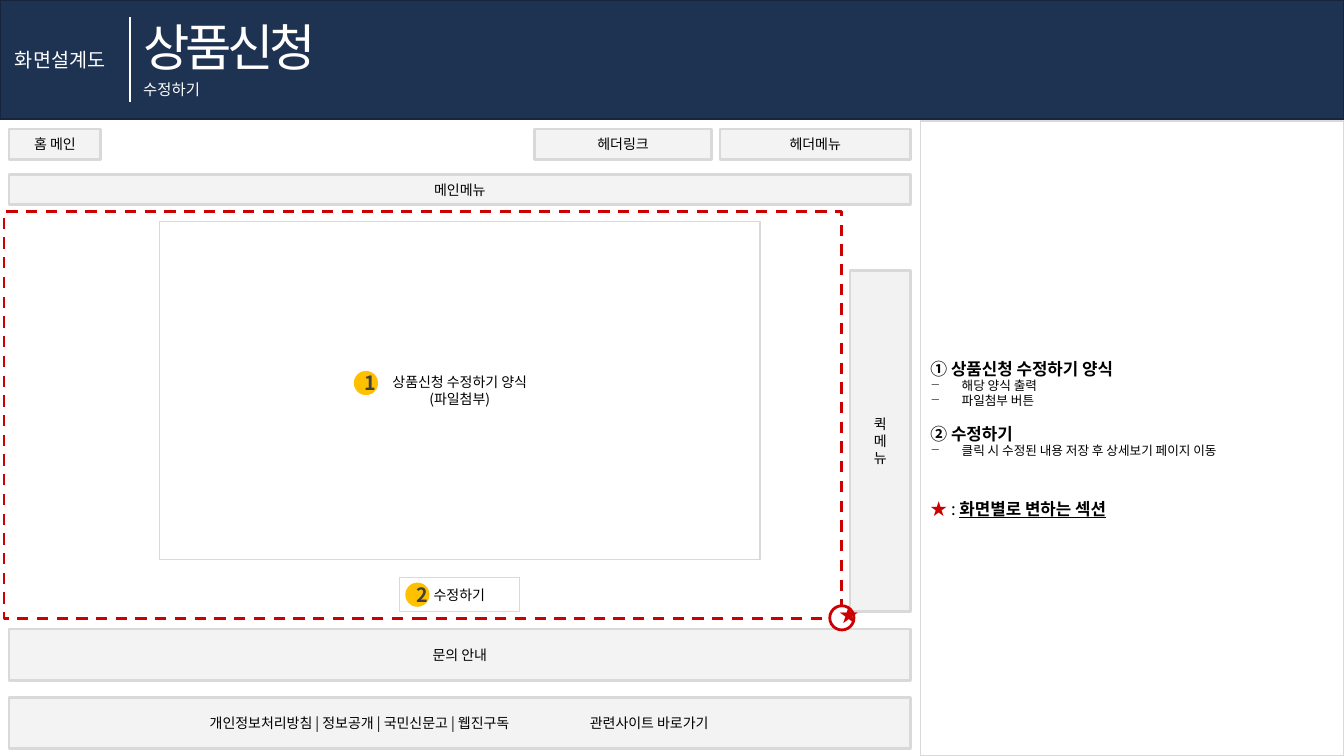
from dataclasses import dataclass

from lxml.etree import SubElement
from pptx import Presentation
from pptx.dml.color import RGBColor
from pptx.enum.dml import MSO_LINE_DASH_STYLE as Dash
from pptx.enum.shapes import MSO_CONNECTOR as Connector, MSO_SHAPE as Preset
from pptx.enum.text import MSO_ANCHOR as Anchor, MSO_AUTO_SIZE as AutoSize, PP_ALIGN as Align
from pptx.oxml.ns import qn
from pptx.util import Inches, Pt

FONT = "Noto Sans CJK KR"
GRAY, RED, WHITE, BLACK, YELLOW = "D9D9D9", "CC0000", "FFFFFF", "000000", "FFC000"


@dataclass(frozen=True)
class Run:
    text: str
    size: float = 10
    color: str = BLACK
    bold: bool = False
    underline: bool = False
    font: str = FONT


@dataclass(frozen=True)
class Line:
    runs: tuple[Run, ...]
    height: float | None = None
    before: float = 0
    bullet: bool = False


@dataclass(frozen=True)
class Box:
    place: tuple[float, float, float, float]
    lines: tuple[Line, ...] = ()
    fill: str | None = WHITE
    opacity: int = 100
    border: str | None = GRAY
    width: float = 2
    dash: bool = False
    preset: Preset = Preset.RECTANGLE
    align: Align = Align.CENTER


def rgb(value: str) -> RGBColor:
    return RGBColor.from_string(value)


def plain(*texts: str, height: float | None = None) -> tuple[Line, ...]:
    return tuple(Line((Run(text),), height) for text in texts)


def heading(text: str, before: float = 0) -> Line:
    return Line((Run(text, 12, bold=True),), 14.3, before)


def item(text: str) -> Line:
    return Line((Run(text, 9),), 10.7, bullet=True)


def write(shape, lines: tuple[Line, ...], align: Align = Align.LEFT) -> None:
    frame = shape.text_frame
    frame_format = {"word_wrap": True, "auto_size": AutoSize.NONE, "vertical_anchor": Anchor.MIDDLE}
    for name, value in frame_format.items():
        setattr(frame, name, value)
    for index, line in enumerate(lines):
        paragraph = frame.add_paragraph() if index else frame.paragraphs[0]
        paragraph.alignment = align
        paragraph.space_before = Pt(line.before)
        if line.height:
            paragraph.line_spacing = Pt(line.height)
        if line.bullet:
            properties = paragraph._p.get_or_add_pPr()
            properties.set("marL", str(Inches(0.31)))
            properties.set("indent", str(-Inches(0.31)))
            SubElement(properties, qn("a:buChar")).set("char", "−")
        for part in line.runs:
            run = paragraph.add_run()
            run.text = part.text
            font_format = {"size": Pt(part.size), "bold": part.bold,
                           "underline": part.underline, "name": part.font}
            for name, value in font_format.items():
                setattr(run.font, name, value)
            run.font.color.rgb = rgb(part.color)
            SubElement(run._r.get_or_add_rPr(), qn("a:ea")).set("typeface", part.font)


def add_box(shapes, box: Box):
    shape = shapes.add_shape(box.preset, *map(Inches, box.place))
    shape.shadow.inherit = False
    if box.fill:
        shape.fill.solid()
        shape.fill.fore_color.rgb = rgb(box.fill)
        if box.opacity < 100:
            color = shape._element.spPr.find(qn("a:solidFill"))[0]
            SubElement(color, qn("a:alpha")).set("val", str(box.opacity * 1000))
    else:
        shape.fill.background()
    if box.border:
        shape.line.color.rgb = rgb(box.border)
        shape.line.width = Pt(box.width)
        if box.dash:
            shape.line.dash_style = Dash.DASH
    else:
        shape.line.fill.background()
    write(shape, box.lines, box.align)
    return shape


def add_label(shapes, place: tuple[float, float, float, float], run: Run,
              align: Align = Align.LEFT) -> None:
    write(shapes.add_textbox(*map(Inches, place)), (Line((run,)),), align)


def section(place: tuple[float, float, float, float], *texts: str) -> Box:
    return Box(place, plain(*texts, height=12.1 if len(texts) > 1 else None), GRAY, 30)


def badge(left: float, top: float, number: str) -> Box:
    return Box((left, top, 0.24, 0.24), (Line((Run(number, 14, "404040", True),)),),
               YELLOW, border=None, preset=Preset.OVAL)


def add_header(slide) -> None:
    shapes = slide.shapes
    title = shapes.title
    band = add_box(shapes, Box((0, 0, 13.33, 1.18), fill="1E3252", border="16253D", width=1))
    title._element.addprevious(band._element)
    place = {"left": 1.32, "top": 0.11, "width": 2.05, "height": 0.71}
    for name, value in place.items():
        setattr(title, name, Inches(value))
    write(title, (Line((Run("상품신청", 36, WHITE),)),))
    title.text_frame.paragraphs[0].runs[0]._r.get_or_add_rPr().set("spc", "-300")
    add_label(shapes, (0.05, 0.42, 1.18, 0.34), Run("화면설계도", 14, WHITE))
    divider = shapes.add_connector(Connector.STRAIGHT, *map(Inches, (1.29, 0.17, 1.29, 1.01)))
    divider.line.color.rgb = rgb(WHITE)
    divider.line.width = Pt(1.5)
    SubElement(divider._element.spPr, qn("a:effectLst"))
    add_label(shapes, (1.32, 0.74, 0.82, 0.29), Run("수정하기", 11, WHITE, font="Roboto"))


def add_footer(shapes) -> None:
    links = " | ".join(("개인정보처리방침", "정보공개", "국민신문고", "웹진구독"))
    footer = add_box(shapes, Box((0.09, 6.92, 8.94, 0.51), plain(f"{links}\t관련사이트 바로가기"),
                                 GRAY, 30, align=Align.LEFT))
    footer.text_frame.margin_left = Inches(1.99)
    properties = footer.text_frame.paragraphs[0]._p.get_or_add_pPr()
    tab = SubElement(SubElement(properties, qn("a:tabLst")), qn("a:tab"))
    tab.set("pos", str(Inches(3.77)))
    tab.set("algn", "l")


def add_star_marker(shapes) -> None:
    marker = shapes.add_group_shape().shapes
    add_box(marker, Box((8.23, 6.01, 0.24, 0.24), border=RED, preset=Preset.OVAL))
    add_label(marker, (8.23, 5.93, 0.24, 0.34), Run("★", 14, RED), Align.CENTER)


PAGE = (
    section((0.09, 1.73, 8.94, 0.3), "메인메뉴"),
    Box((1.58, 2.2, 5.96, 3.35), plain("상품신청 수정하기 양식", "(파일첨부)", height=12.1), width=1),
    section((0.09, 1.28, 0.91, 0.3), "홈 메인"),
    section((7.14, 1.28, 1.89, 0.3), "헤더메뉴"),
    section((5.3, 1.28, 1.76, 0.3), "헤더링크"),
    section((0.09, 6.24, 8.94, 0.51), "문의 안내"),
    Box((8.43, 2.68, 0.6, 3.39), plain(*"퀵메뉴", height=12.1), "BFBFBF", 20),
    Box((3.96, 5.73, 1.19, 0.34), plain("수정하기"), width=1),
    Box((0.04, 2.1, 8.31, 4.04), fill=None, border=RED, dash=True),
)
NOTES = Box((9.13, 1.2, 4.2, 6.3), (
    heading("① 상품신청 수정하기 양식"),
    item("해당 양식 출력"),
    item("파일첨부 버튼"),
    heading("② 수정하기", 10.7),
    item("클릭 시 수정된 내용 저장 후 상세보기 페이지 이동"),
    Line((Run("★ ", 12, RED, True), Run(": ", 12),
          Run("화면별로 변하는 섹션", 12, bold=True, underline=True)), 14.3, 28.6),
), width=1, align=Align.LEFT)


def main() -> None:
    presentation = Presentation()
    presentation.slide_width = Inches(13.33)
    presentation.slide_height = Inches(7.5)
    slide = presentation.slides.add_slide(presentation.slide_layouts[5])
    add_header(slide)
    for box in PAGE:
        add_box(slide.shapes, box)
    add_footer(slide.shapes)
    add_star_marker(slide.shapes)
    for box in (NOTES, badge(3.51, 3.68, "1"), badge(4.02, 5.78, "2")):
        add_box(slide.shapes, box)
    presentation.save("out.pptx")


if __name__ == "__main__":
    main()
